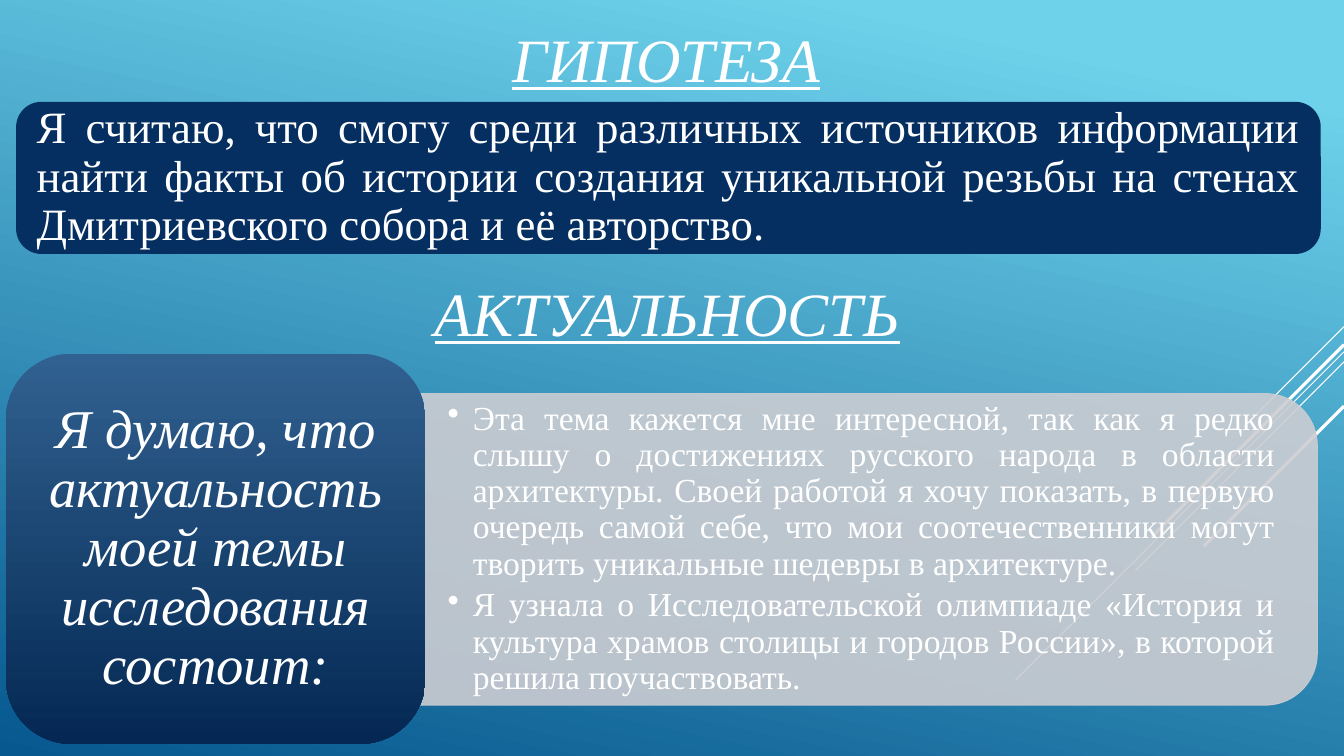
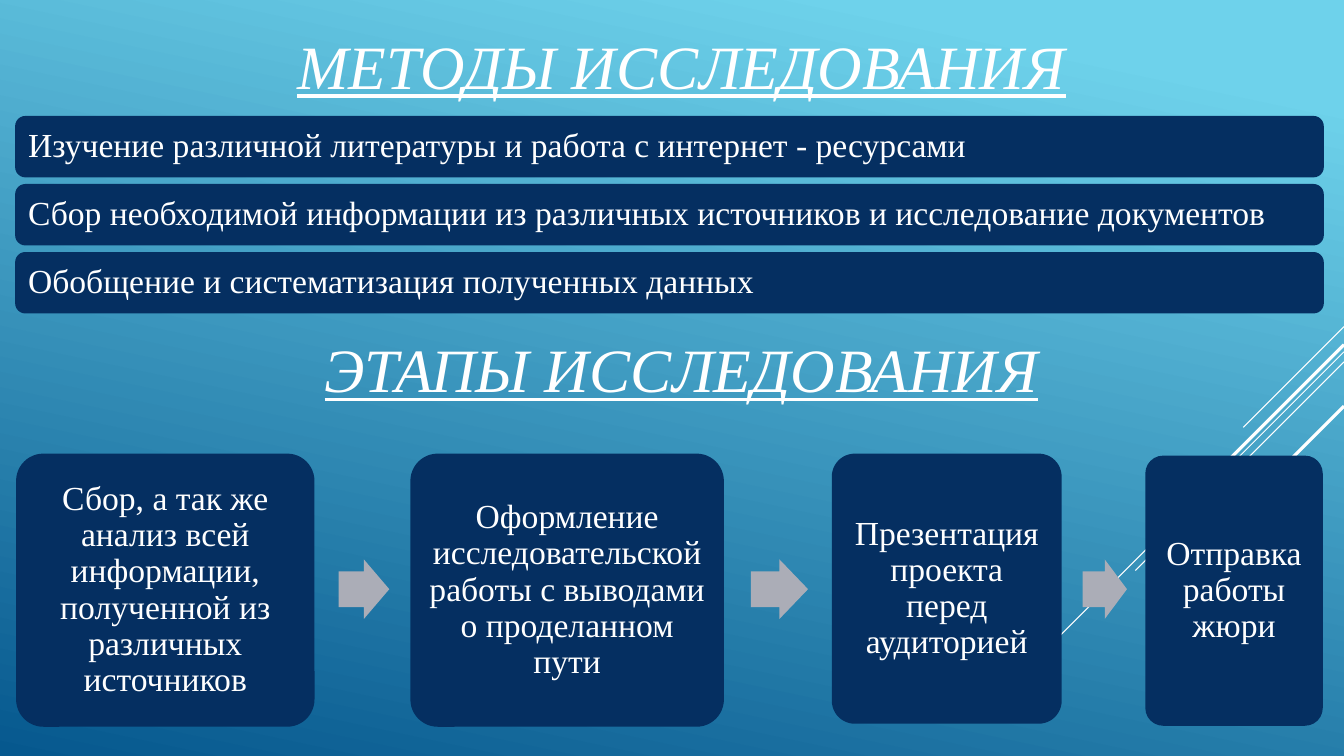
import dataclasses
import itertools
import typing

import lxml.etree
import pptx
import pptx.dml.color
import pptx.dml.fill
import pptx.enum.shapes
import pptx.enum.text
import pptx.oxml.ns
import pptx.presentation
import pptx.shapes.autoshape
import pptx.shapes.base
import pptx.slide
import pptx.text.text
import pptx.util

Inches = pptx.util.Inches
Pt = pptx.util.Pt
RGBColor = pptx.dml.color.RGBColor
Shapes = pptx.enum.shapes.MSO_SHAPE
Align = pptx.enum.text.PP_ALIGN
Anchor = pptx.enum.text.MSO_ANCHOR
qn = pptx.oxml.ns.qn

WHITE = RGBColor(0xFF, 0xFF, 0xFF)
NAVY = RGBColor(0x05, 0x2F, 0x61)
CARD_TOP = RGBColor(0x31, 0x61, 0x90)
CARD_BOTTOM = RGBColor(0x04, 0x28, 0x53)
PANEL_GRAY = RGBColor(0xCC, 0xCD, 0xD2)
ARROW_GRAY = RGBColor(0xAB, 0xAD, 0xB7)
SKY = RGBColor(0x6E, 0xD2, 0xEB)
DEEP_BLUE = RGBColor(0x06, 0x58, 0x8E)

FONT = "Times New Roman"
SLIDE_WIDTH = 13.33
SLIDE_HEIGHT = 7.5
TITLE_WIDTH = 8
TITLE_HEIGHT = 0.84


@dataclasses.dataclass(frozen=True)
class Box:
    """Place of a shape, in inches."""
    left: float
    top: float
    width: float
    height: float

    @property
    def right(self) -> float:
        return self.left + self.width

    def lengths(self) -> tuple[pptx.util.Length, ...]:
        return tuple(Inches(value) for value in dataclasses.astuple(self))


@dataclasses.dataclass(frozen=True)
class TextStyle:
    size: float
    align: Align = Align.LEFT
    italic: bool = False
    underline: bool = False
    line_spacing: float = 0.9
    space_after: float = 0
    bullet_indent: float = 0
    inset_x: float = 0.1
    inset_y: float = 0.1


@dataclasses.dataclass(frozen=True)
class Ray:
    """A 45-degree line running down and left from the right edge."""
    top: float
    run: float
    weight: float


@dataclasses.dataclass(frozen=True)
class Stage:
    text: str
    box: Box


TITLE = TextStyle(44, Align.CENTER, italic=True, underline=True,
                  line_spacing=1, inset_y=0.05)
HYPOTHESIS = TextStyle(32, Align.JUSTIFY, inset_x=0.13, inset_y=0.13)
RELEVANCE_CARD = TextStyle(39, Align.CENTER, italic=True,
                           inset_x=0.16, inset_y=0.08)
RELEVANCE_LIST = TextStyle(24, Align.JUSTIFY, space_after=4,
                           bullet_indent=0.25, inset_x=0.27, inset_y=0.14)
METHOD = TextStyle(24)
STAGE = TextStyle(24, Align.CENTER)

RAYS = (
    Ray(3.24, 1, 0.75),
    Ray(3.49, 3.26, 0.75),
    Ray(3.59, 2.07, 0.75),
    Ray(3.42, 1.91, 2.25),
    Ray(4.03, 1.39, 2.25),
)

REASONS = (
    "Эта тема кажется мне интересной, так как я редко слышу о достижениях "
    "русского народа в области архитектуры. Своей работой я хочу показать, "
    "в первую очередь самой себе, что мои соотечественники могут творить "
    "уникальные шедевры в архитектуре.",
    "Я узнала о Исследовательской олимпиаде «История и культура храмов "
    "столицы и городов России», в которой решила поучаствовать.",
)

METHODS = (
    "Изучение различной литературы и работа с интернет - ресурсами",
    "Сбор необходимой информации из различных источников и исследование документов",
    "Обобщение и систематизация полученных данных",
)

STAGES = (
    Stage("Сбор, а так же анализ всей информации, полученной из различных источников",
          Box(0.16, 4.5, 2.96, 2.71)),
    Stage("Оформление исследовательской работы с выводами о проделанном пути",
          Box(4.07, 4.5, 3.11, 2.71)),
    Stage("Презентация проекта перед аудиторией", Box(8.25, 4.5, 2.28, 2.68)),
    Stage("Отправка работы жюри", Box(11.36, 4.52, 1.76, 2.68)),
)


def set_gradient(fill: pptx.dml.fill.FillFormat, start: RGBColor, end: RGBColor,
                 start_position: float, clockwise_angle: float) -> None:
    fill.gradient()
    fill.gradient_angle = 360 - clockwise_angle
    first, last = fill.gradient_stops
    first.color.rgb, first.position = start, start_position
    last.color.rgb, last.position = end, 1


def set_opacity(shape: pptx.shapes.base.BaseShape, percent: int) -> None:
    """Apply one opacity to the fill and the line of a shape."""
    for color in shape._element.spPr.iter(qn("a:srgbClr")):
        lxml.etree.SubElement(color, qn("a:alpha"), val=str(percent * 1000))


def set_bullet(paragraph: pptx.text.text._Paragraph, indent: float) -> None:
    properties = paragraph._p.get_or_add_pPr()
    properties.set("marL", str(Inches(indent)))
    properties.set("indent", str(-Inches(indent)))
    lxml.etree.SubElement(properties, qn("a:buChar"), char="•")


def write_text(shape: pptx.shapes.autoshape.Shape, texts: typing.Sequence[str],
               style: TextStyle) -> None:
    frame = shape.text_frame
    frame.word_wrap = True
    frame.vertical_anchor = Anchor.MIDDLE
    frame.margin_left = frame.margin_right = Inches(style.inset_x)
    frame.margin_top = frame.margin_bottom = Inches(style.inset_y)
    frame.text = "\n".join(texts)
    for paragraph in frame.paragraphs:
        paragraph.alignment = style.align
        paragraph.line_spacing = style.line_spacing
        paragraph.space_after = Pt(style.space_after)
        if style.bullet_indent:
            set_bullet(paragraph, style.bullet_indent)
        font = paragraph.font
        font.name = FONT
        font.size = Pt(style.size)
        font.italic = style.italic
        font.underline = style.underline
        font.color.rgb = WHITE


def add_text(slide: pptx.slide.Slide, box: Box, texts: typing.Sequence[str],
             style: TextStyle) -> None:
    write_text(slide.shapes.add_textbox(*box.lengths()), texts, style)


def add_title(slide: pptx.slide.Slide, text: str, center: float, top: float) -> None:
    box = Box(center - TITLE_WIDTH / 2, top, TITLE_WIDTH, TITLE_HEIGHT)
    add_text(slide, box, [text], TITLE)


def add_filled_shape(slide: pptx.slide.Slide, kind: Shapes, box: Box,
                     color: RGBColor) -> pptx.shapes.autoshape.Shape:
    shape = slide.shapes.add_shape(kind, *box.lengths())
    shape.shadow.inherit = False
    shape.fill.solid()
    shape.fill.fore_color.rgb = color
    shape.line.fill.background()
    return shape


def add_card(slide: pptx.slide.Slide, box: Box, text: str,
             style: TextStyle) -> pptx.shapes.autoshape.Shape:
    card = add_filled_shape(slide, Shapes.ROUNDED_RECTANGLE, box, NAVY)
    write_text(card, [text], style)
    return card


def add_reason_panel(slide: pptx.slide.Slide) -> None:
    panel = add_filled_shape(slide, Shapes.ROUND_2_SAME_RECTANGLE,
                             Box(7.07, 1, 3.09, 8.9), PANEL_GRAY)
    panel.rotation = 90
    panel.line.color.rgb = PANEL_GRAY
    panel.line.width = Pt(0.75)
    set_opacity(panel, 90)
    add_text(slide, Box(4.17, 4.05, 8.74, 2.79), REASONS, RELEVANCE_LIST)


def add_stage_arrow(slide: pptx.slide.Slide, before: Box, after: Box) -> None:
    gap = after.left - before.right
    box = Box(before.right + gap * 0.25, 5.55, gap * 0.53, 0.59)
    arrow = add_filled_shape(slide, Shapes.RIGHT_ARROW, box, ARROW_GRAY)
    arrow.adjustments[0] = 0.6
    arrow.adjustments[1] = 0.5


def add_slide(presentation: pptx.presentation.Presentation) -> pptx.slide.Slide:
    """Add a blank slide with the shared diagonal rays."""
    slide = presentation.slides.add_slide(presentation.slide_layouts[6])
    for ray in RAYS:
        line = slide.shapes.add_connector(
            pptx.enum.shapes.MSO_CONNECTOR.STRAIGHT,
            Inches(SLIDE_WIDTH), Inches(ray.top),
            Inches(SLIDE_WIDTH - ray.run), Inches(ray.top + ray.run))
        line.line.color.rgb = WHITE
        line.line.width = Pt(ray.weight)
        lxml.etree.SubElement(line._element.spPr, qn("a:effectLst"))
    return slide


def build_hypothesis_slide(presentation: pptx.presentation.Presentation) -> None:
    slide = add_slide(presentation)
    add_title(slide, "ГИПОТЕЗА", 6.61, 0.15)
    add_card(slide, Box(0.16, 1.01, 12.94, 1.51),
             "Я считаю, что смогу среди различных источников информации найти "
             "факты об истории создания уникальной резьбы на стенах "
             "Дмитриевского собора и её авторство.", HYPOTHESIS)
    add_title(slide, "АКТУАЛЬНОСТЬ", 6.62, 2.67)
    add_reason_panel(slide)
    card = add_card(slide, Box(0.06, 3.51, 4.16, 3.87),
                    "Я думаю, что актуальность моей темы исследования состоит:",
                    RELEVANCE_CARD)
    set_gradient(card.fill, CARD_TOP, CARD_BOTTOM, 0, 90)


def build_methods_slide(presentation: pptx.presentation.Presentation) -> None:
    slide = add_slide(presentation)
    add_title(slide, "МЕТОДЫ ИССЛЕДОВАНИЯ", 6.76, 0.22)
    for index, method in enumerate(METHODS):
        top = 1.15 + index * 1.35 / 2
        add_card(slide, Box(0.15, top, 12.98, 0.61), method, METHOD)
    add_title(slide, "ЭТАПЫ ИССЛЕДОВАНИЯ", 6.76, 3.23)
    for stage in STAGES:
        add_card(slide, stage.box, stage.text, STAGE).adjustments[0] = 0.1
    for before, after in itertools.pairwise(STAGES):
        add_stage_arrow(slide, before.box, after.box)


def main() -> None:
    presentation = pptx.Presentation()
    presentation.slide_width = Inches(SLIDE_WIDTH)
    presentation.slide_height = Inches(SLIDE_HEIGHT)
    set_gradient(presentation.slide_master.background.fill, SKY, DEEP_BLUE, 0.1, 102)
    build_hypothesis_slide(presentation)
    build_methods_slide(presentation)
    presentation.save("out.pptx")


if __name__ == "__main__":
    main()
